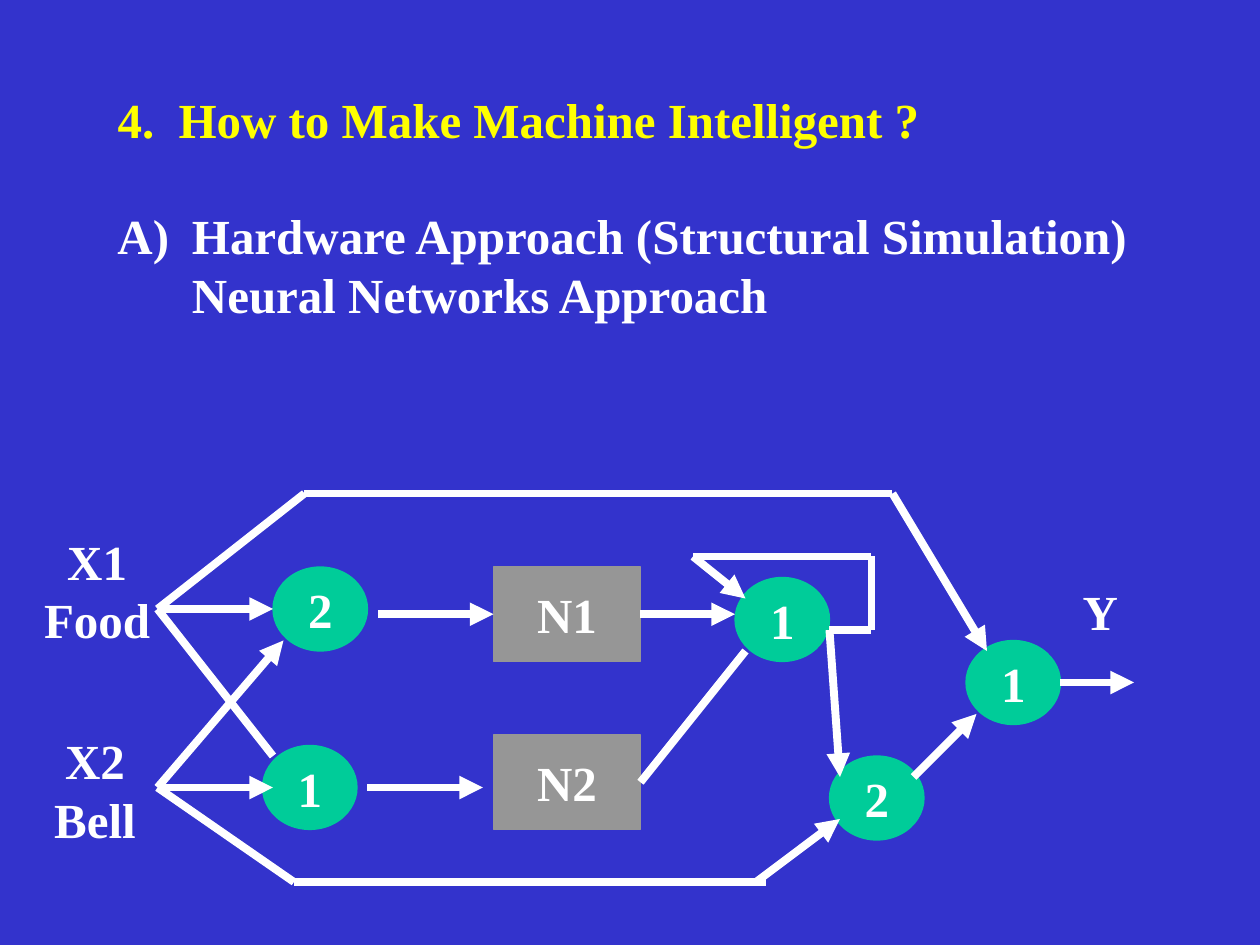
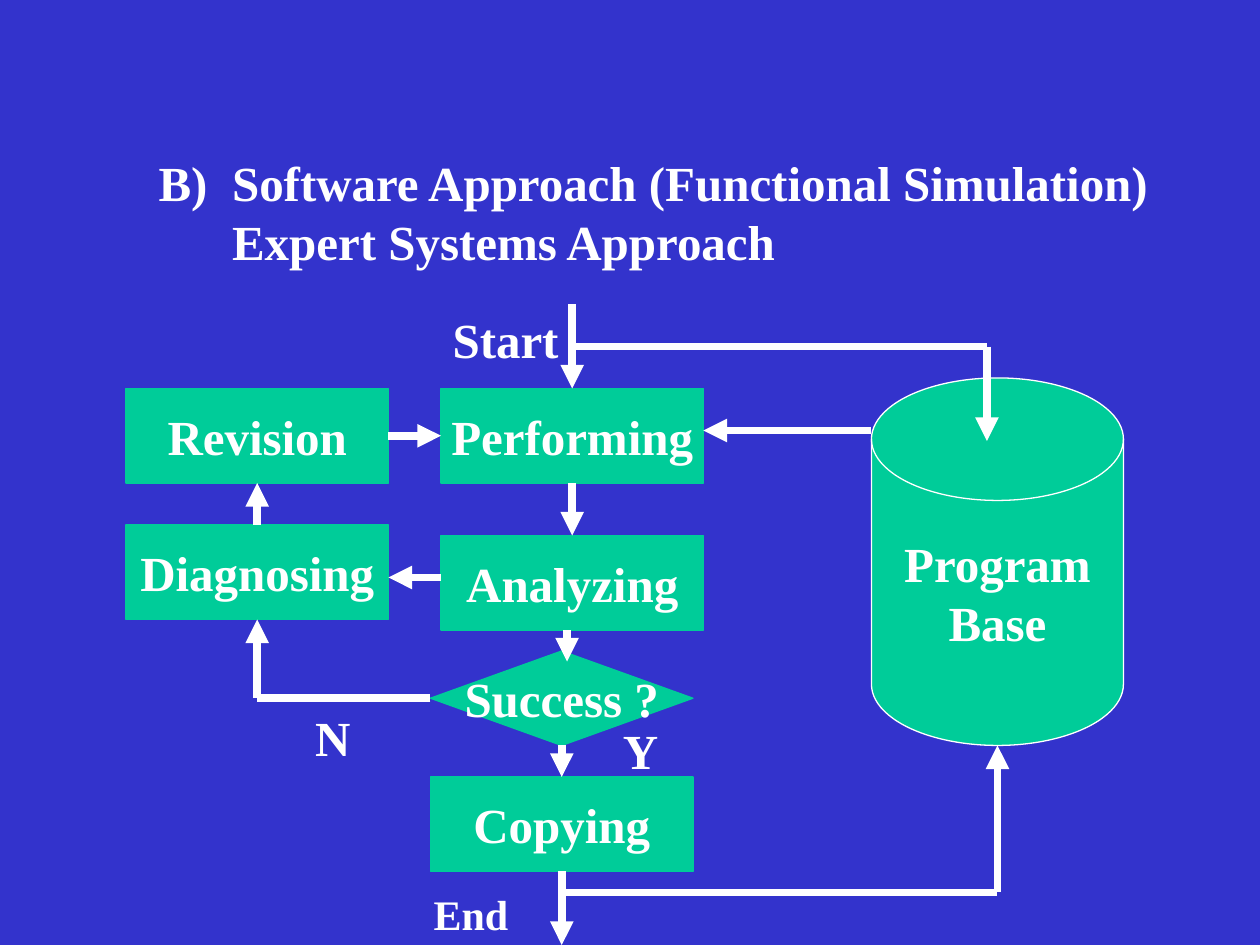
import pptx
import pptx.dml.color
import pptx.enum.shapes
import pptx.enum.text
import pptx.oxml.ns
import pptx.util
from lxml import etree

PX = 7620
FONT = "Times New Roman"
BLUE, WHITE, YELLOW, GREEN, GRAY = "3333CC", "FFFFFF", "FFFF00", "00CC99", "969696"
SHAPE = pptx.enum.shapes.MSO_SHAPE
ALIGN = pptx.enum.text.PP_ALIGN
ANCHOR = pptx.enum.text.MSO_ANCHOR
TOP, LEFT, BOTTOM, RIGHT = range(4)


def color(hex_string):
    """Turn a hex string into a colour."""
    return pptx.dml.color.RGBColor.from_string(hex_string)


def write(shape, lines, text_color=WHITE, size=28, align=ALIGN.CENTER,
          anchor=ANCHOR.MIDDLE, wrap=False, hanging=0):
    """Write lines as bold paragraphs with an optional hanging indent."""
    frame = shape.text_frame
    frame.word_wrap = wrap
    frame.auto_size = pptx.enum.text.MSO_AUTO_SIZE.NONE
    frame.vertical_anchor = anchor
    frame.text = "\n".join(lines)
    for paragraph in frame.paragraphs:
        paragraph.alignment = align
        if hanging:
            properties = paragraph._p.get_or_add_pPr()
            properties.set("marL", str(hanging * PX))
            first = -hanging if "\t" in paragraph.text else 0
            properties.set("indent", str(first * PX))
        paragraph.font.name = FONT
        paragraph.font.size = pptx.util.Pt(size)
        paragraph.font.bold = True
        paragraph.font.color.rgb = color(text_color)


def heading(shape, box, lines, hanging, text_color=WHITE):
    """Place and fill a left-aligned heading."""
    shape.left, shape.top, shape.width, shape.height = (n * PX for n in box)
    write(shape, lines, text_color, align=ALIGN.LEFT, anchor=ANCHOR.TOP,
          wrap=True, hanging=hanging)


class Diagram:
    """A region of a slide whose parts are placed from its top left corner."""

    def __init__(self, slide, left, top):
        """Remember the slide and the corner."""
        self.shapes, self.left, self.top = slide.shapes, left, top

    def place(self, x, y):
        """Turn a point of the region into a slide position."""
        return (self.left + x) * PX, (self.top + y) * PX

    def node(self, kind, x, y, width, height, *lines, fill=GREEN, outline=None):
        """Add a filled shape with centred text."""
        shape = self.shapes.add_shape(kind, *self.place(x, y), width * PX, height * PX)
        shape.shadow.inherit = False
        shape.fill.solid()
        shape.fill.fore_color.rgb = color(fill)
        shape.line.color.rgb = color(outline or fill)
        shape.line.width = pptx.util.Pt(0.75)
        write(shape, lines)
        return shape

    def label(self, x, y, width, height, *lines, size=28):
        """Add a label without a frame."""
        box = self.shapes.add_textbox(*self.place(x, y), width * PX, height * PX)
        write(box, lines, size=size, anchor=ANCHOR.TOP)

    def route(self, *points, arrow=True, start=None, end=None):
        """Join points by straight lines, with an arrowhead at the last."""
        lines = []
        for begin, finish in zip(points, points[1:]):
            line = self.shapes.add_connector(
                pptx.enum.shapes.MSO_CONNECTOR.STRAIGHT,
                *self.place(*begin), *self.place(*finish))
            line.line.color.rgb = color(WHITE)
            line.line.width = pptx.util.Pt(4.5)
            etree.SubElement(line._element.spPr, pptx.oxml.ns.qn("a:effectLst"))
            lines.append(line)
        if arrow:
            etree.SubElement(lines[-1].line._get_or_add_ln(),
                             pptx.oxml.ns.qn("a:tailEnd"), type="triangle")
        if start:
            lines[0].begin_connect(*start)
        if end:
            lines[-1].end_connect(*end)


def neural_network(slide, left, top):
    """Draw the conditioning network from both inputs to the output."""
    diagram = Diagram(slide, left, top)
    for x, y, threshold in ((230, 70, "2"), (760, 250, "2"), (670, 80, "1"),
                            (890, 140, "1"), (220, 240, "1")):
        diagram.node(SHAPE.OVAL, x, y, 90, 80, threshold)
    memory_1, memory_2 = (
        diagram.node(SHAPE.RECTANGLE, 440, y, 140, 90, name, fill=GRAY)
        for y, name in ((70, "N1"), (230, "N2")))

    food, bell, loop = (120, 110), (120, 280), (760, 130)
    diagram.route(food, (230, 110))
    diagram.route(bell, (230, 280))
    diagram.route((320, 280), (430, 280))
    diagram.route((330, 115), (440, 115), end=(memory_1, LEFT))
    diagram.route(food, (230, 250), arrow=False)
    diagram.route(bell, (240, 140))
    diagram.route(food, (260, 0), (820, 0), (910, 150))
    diagram.route(bell, (250, 370), (700, 370), arrow=False)
    diagram.route((690, 370), (770, 310))
    diagram.route((580, 115), (670, 115), start=(memory_1, RIGHT))
    diagram.route((580, 275), (680, 150), arrow=False, start=(memory_2, RIGHT))
    diagram.route(loop, (770, 270))
    diagram.route(loop, (800, 130), (800, 60), (630, 60), (680, 100))
    diagram.route((840, 270), (900, 210))
    diagram.route((980, 180), (1050, 180))

    diagram.label(989, 78, 58, 68, "Y")
    diagram.label(0, 30, 125, 125, "X1", "Food")
    diagram.label(10, 220, 101, 125, "X2", "Bell")


def expert_system(slide, left, top):
    """Draw the flow of steps around the program base."""
    diagram = Diagram(slide, left, top)

    def step(kind, x, y, name):
        """Add one step of the flow."""
        return diagram.node(kind, x, y, 250, 90, name)

    revision = step(SHAPE.RECTANGLE, 0, 80, "Revision")
    copying = step(SHAPE.RECTANGLE, 290, 450, "Copying")
    analyzing = step(SHAPE.RECTANGLE, 300, 220, "Analyzing")
    diagnosing = step(SHAPE.RECTANGLE, 0, 210, "Diagnosing")
    performing = step(SHAPE.RECTANGLE, 300, 80, "Performing")
    diagram.node(SHAPE.FLOWCHART_MAGNETIC_DISK, 710, 70, 240, 350,
                 "Program", "Base", outline=WHITE)
    success = step(SHAPE.FLOWCHART_DECISION, 290, 330, "Success ?")

    diagram.route((425, 0), (425, 80), end=(performing, TOP))
    diagram.route((425, 40), (820, 40), (820, 130))
    diagram.route((710, 120), (550, 120))
    diagram.route((425, 170), (425, 220), start=(performing, BOTTOM), end=(analyzing, TOP))
    diagram.route((420, 310), (420, 340))
    diagram.route((415, 420), (415, 450), start=(success, BOTTOM), end=(copying, TOP))
    diagram.route((415, 540), (415, 610), start=(copying, BOTTOM))
    diagram.route((125, 210), (125, 170), start=(diagnosing, TOP), end=(revision, BOTTOM))
    diagram.route((250, 125), (300, 125), start=(revision, RIGHT), end=(performing, LEFT))
    diagram.route((300, 260), (250, 260))
    diagram.route((290, 375), (125, 375), (125, 300),
                  start=(success, LEFT), end=(diagnosing, BOTTOM))
    diagram.route((415, 560), (830, 560), (830, 420))

    diagram.label(168, 378, 58, 68, "N")
    diagram.label(461, 390, 58, 68, "Y")
    diagram.label(299, -1, 125, 68, "Start")
    diagram.label(281, 550, 95, 60, "End", size=24)


def main():
    """Build both slides and save them."""
    presentation = pptx.Presentation()
    presentation.slide_width, presentation.slide_height = 1200 * PX, 900 * PX
    background = presentation.slide_master.background.fill
    background.solid()
    background.fore_color.rgb = color(BLUE)
    title_only = presentation.slide_layouts[5]

    hardware = presentation.slides.add_slide(title_only)
    heading(hardware.shapes.title, (100, 79, 1000, 68),
            ["4.\tHow to Make Machine Intelligent ?"], 58, YELLOW)
    heading(hardware.shapes.add_textbox(0, 0, 0, 0), (100, 190, 1000, 125),
            ["A)\tHardware Approach (Structural Simulation)", "Neural Networks Approach"], 71)
    neural_network(hardware, 30, 470)

    software = presentation.slides.add_slide(title_only)
    heading(software.shapes.title, (139, 139, 980, 125),
            ["B)\tSoftware Approach (Functional Simulation)", "Expert Systems Approach"], 70)
    expert_system(software, 120, 290)

    presentation.save("out.pptx")


if __name__ == "__main__":
    main()
